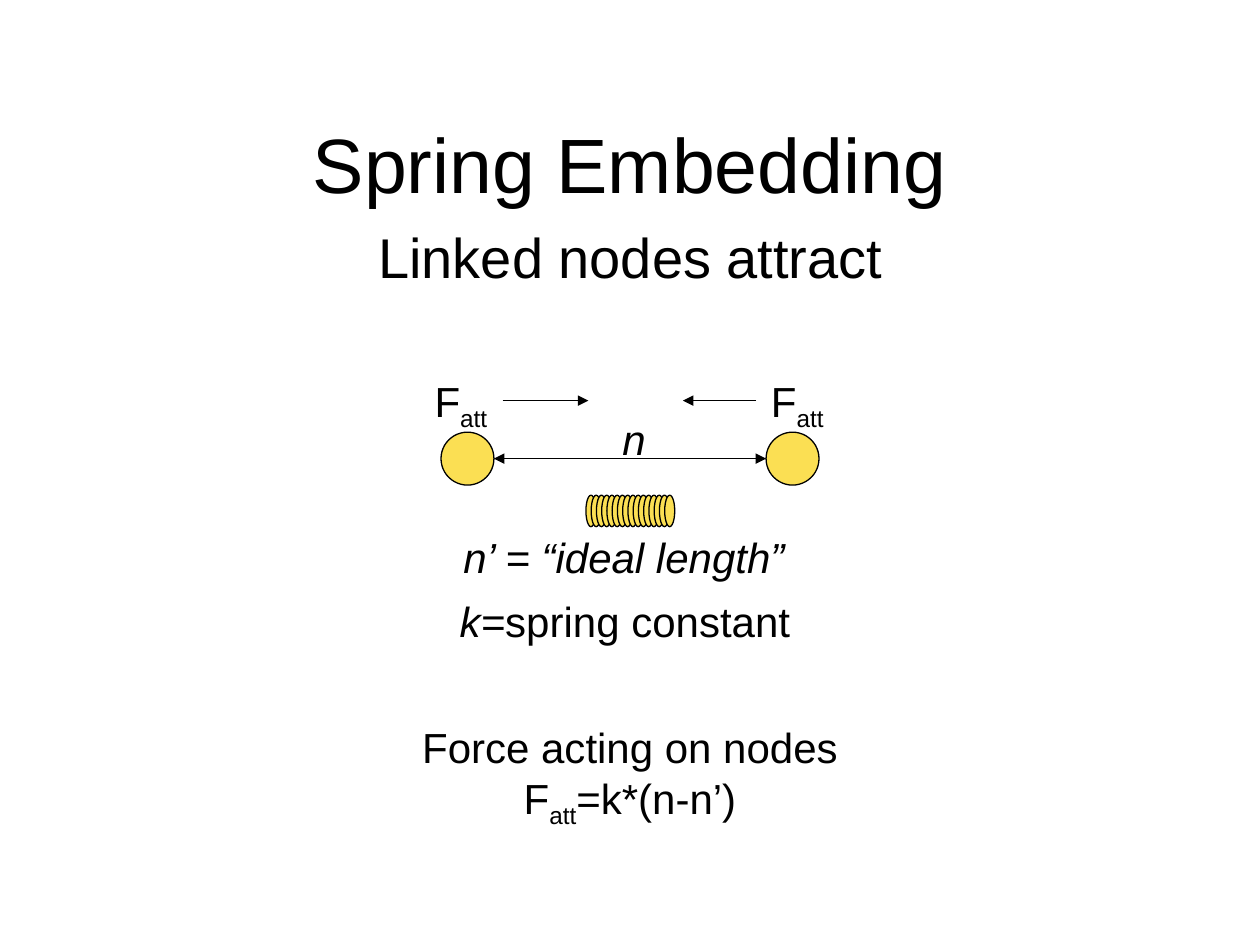
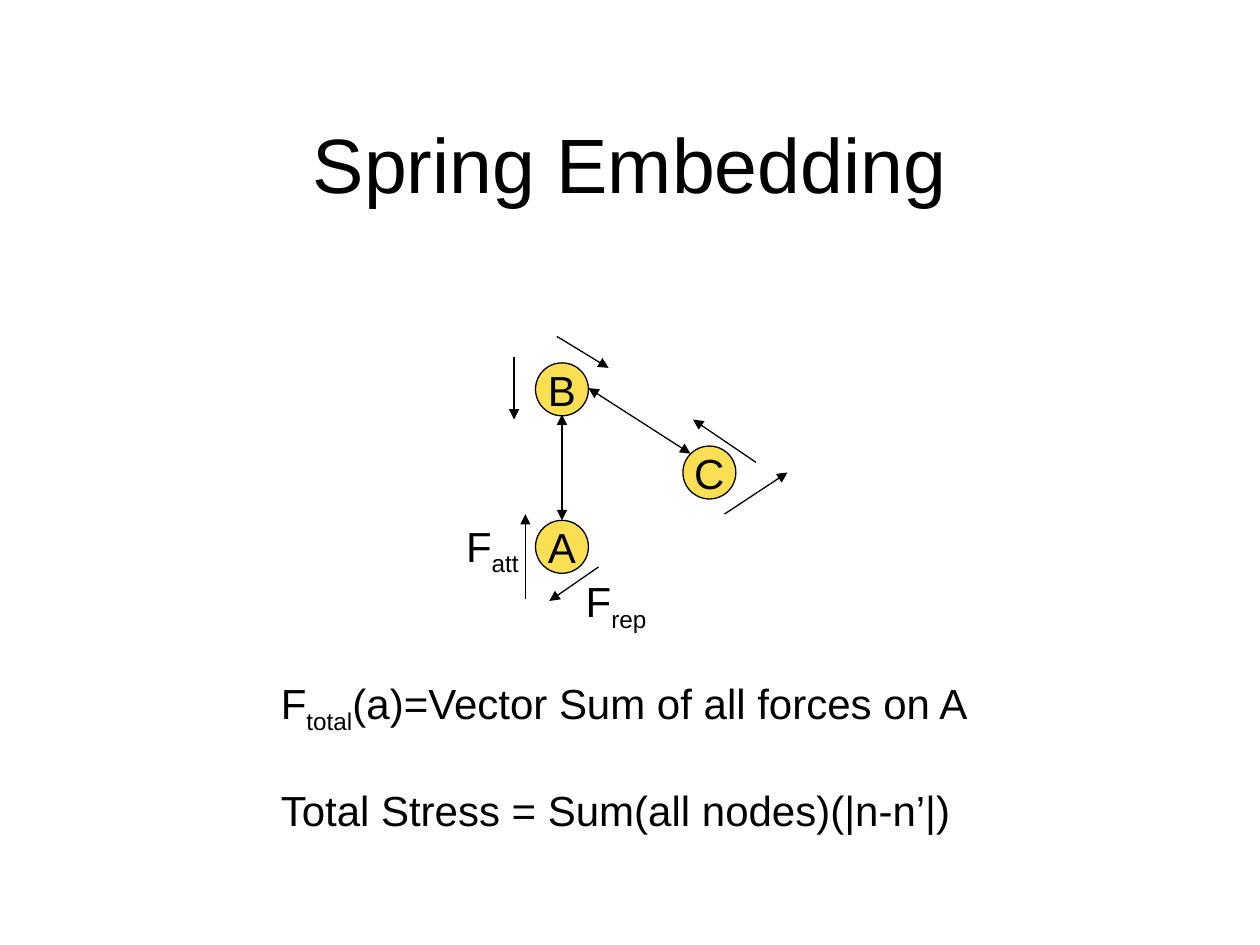
from dataclasses import dataclass

from lxml.etree import SubElement
from pptx import Presentation
from pptx.dml.color import RGBColor
from pptx.enum.shapes import MSO_CONNECTOR, MSO_SHAPE
from pptx.enum.text import MSO_ANCHOR, MSO_AUTO_SIZE, PP_ALIGN
from pptx.oxml.ns import qn
from pptx.util import Inches, Pt

FONT = "Arial"
BLACK = "000000"
GOLD = "FBDF53"
THIN = 0.75
NODE = 0.42


@dataclass
class Run:
    text: str
    slant: bool = False
    sub: bool = False


@dataclass
class Label:
    left: float
    top: float
    width: float
    height: float
    rows: list[list[Run]]
    size: int = 24
    center: bool = False
    wrap: bool = False
    gap: int = 0


@dataclass
class Node:
    left: float
    top: float
    name: str = ""


@dataclass
class Arrow:
    start: tuple[float, float]
    end: tuple[float, float]
    both: bool = False


def color(code: str) -> RGBColor:
    return RGBColor.from_string(code)


def place(shape, left: float, top: float, width: float, height: float) -> None:
    shape.left, shape.top = Inches(left), Inches(top)
    shape.width, shape.height = Inches(width), Inches(height)


def write(para, runs: list[Run], size: int, center: bool) -> None:
    para.alignment = PP_ALIGN.CENTER if center else PP_ALIGN.LEFT
    for part in runs:
        run = para.add_run()
        run.text = part.text
        run.font.name = FONT
        run.font.size = Pt(size)
        run.font.italic = part.slant
        run.font.color.rgb = color(BLACK)
        if part.sub:
            run.font._element.set("baseline", "-25000")


def start(deck):
    slide = deck.slides.add_slide(deck.slide_layouts[5])
    title = slide.shapes.title
    place(title, 0.75, 0.67, 8.5, 1.25)
    frame = title.text_frame
    frame.auto_size = MSO_AUTO_SIZE.NONE
    frame.vertical_anchor = MSO_ANCHOR.MIDDLE
    write(frame.paragraphs[0], [Run("Spring Embedding")], 44, True)
    return slide


def oval(shapes, left: float, top: float, width: float, height: float):
    shape = shapes.add_shape(MSO_SHAPE.OVAL, Inches(left), Inches(top),
                             Inches(width), Inches(height))
    shape.shadow.inherit = False
    shape.fill.solid()
    shape.fill.fore_color.rgb = color(GOLD)
    shape.line.color.rgb = color(BLACK)
    shape.line.width = Pt(THIN)
    return shape


def ball(slide, node: Node) -> None:
    shape = oval(slide.shapes, node.left, node.top, NODE, NODE)
    if node.name:
        frame = shape.text_frame
        frame.word_wrap = False
        frame.vertical_anchor = MSO_ANCHOR.MIDDLE
        write(frame.paragraphs[0], [Run(node.name)], 24, True)


def coil(slide, left: float, top: float, turns: int) -> None:
    group = slide.shapes.add_group_shape()
    for turn in range(turns):
        oval(group.shapes, left + turn / 24, top, 0.08, 0.25)


def link(slide, arrow: Arrow) -> None:
    ends = [Inches(value) for value in arrow.start + arrow.end]
    line = slide.shapes.add_connector(MSO_CONNECTOR.STRAIGHT, *ends)
    line.line.color.rgb = color(BLACK)
    line.line.width = Pt(THIN)
    props = line._element.spPr
    stroke = props.find(qn("a:ln"))
    for tag in ("a:headEnd", "a:tailEnd") if arrow.both else ("a:tailEnd",):
        SubElement(stroke, qn(tag), type="triangle")
    SubElement(props, qn("a:effectLst"))


def note(slide, label: Label) -> None:
    box = slide.shapes.add_textbox(Inches(label.left), Inches(label.top),
                                   Inches(label.width), Inches(label.height))
    frame = box.text_frame
    frame.word_wrap = label.wrap
    frame.auto_size = MSO_AUTO_SIZE.SHAPE_TO_FIT_TEXT
    for index, runs in enumerate(label.rows):
        para = frame.add_paragraph() if index else frame.paragraphs[0]
        if index and label.gap:
            para.space_before = Pt(label.gap)
        write(para, runs, label.size, label.center)


def draw(slide, nodes: list[Node], arrows: list[Arrow], labels: list[Label]) -> None:
    for node in nodes:
        ball(slide, node)
    for arrow in arrows:
        link(slide, arrow)
    for label in labels:
        note(slide, label)


def force(kind: str) -> list[Run]:
    return [Run("F"), Run(kind, sub=True)]


def attract(deck) -> None:
    slide = start(deck)
    coil(slide, 4.65, 3.93, 16)
    nodes = [Node(6.08, 3.43), Node(3.5, 3.43)]
    arrows = [
        Arrow((3.92, 3.64), (6.08, 3.64), both=True),
        Arrow((3.99, 3.18), (4.67, 3.18)),
        Arrow((6, 3.18), (5.42, 3.18)),
    ]
    labels = [
        Label(2.9, 1.72, 4.21, 0.64, [[Run("Linked nodes attract")]],
              size=32, center=True),
        Label(4.84, 3.23, 0.38, 0.5, [[Run("n", slant=True)]]),
        Label(3.58, 4.17, 2.87, 0.5,
              [[Run("n’ = “ideal length”", slant=True)]], wrap=True),
        Label(3.55, 4.68, 2.89, 0.5,
              [[Run("k=", slant=True), Run("spring constant")]], wrap=True),
        Label(3.25, 5.68, 3.5, 0.96,
              [[Run("Force acting on nodes")],
               force("att") + [Run("=k*(n-n’)")]], center=True),
    ]
    labels += [Label(left, 2.93, 0.62, 0.56, [force("att")])
               for left in (3.35, 6.02)]
    draw(slide, nodes, arrows, labels)


def total(deck) -> None:
    slide = start(deck)
    nodes = [Node(4.25, 4.13, "A"), Node(5.42, 3.54, "C"), Node(4.25, 2.88, "B")]
    arrows = [
        Arrow((4.46, 3.29), (4.46, 4.13), both=True),
        Arrow((4.67, 3.08), (5.48, 3.6), both=True),
        Arrow((4.75, 4.5), (4.36, 4.77)),
        Arrow((4.17, 4.75), (4.17, 4.08)),
        Arrow((4.08, 2.83), (4.08, 3.33)),
        Arrow((4.42, 2.67), (4.83, 2.92)),
        Arrow((6, 3.67), (5.5, 3.33)),
        Arrow((5.75, 4.08), (6.25, 3.75)),
    ]
    labels = [
        Label(4.55, 4.52, 0.68, 0.56, [force("rep")]),
        Label(3.6, 4.08, 0.62, 0.56, [force("att")]),
        Label(2.13, 5.33, 5.69, 1.36,
              [force("total") + [Run("(a)=Vector Sum of all forces on A")],
               [Run("Total Stress = Sum(all nodes)(|n-n’|)")]], gap=28),
    ]
    draw(slide, nodes, arrows, labels)


def main() -> None:
    deck = Presentation()
    deck.slide_width, deck.slide_height = Inches(10), Inches(7.5)
    attract(deck)
    total(deck)
    deck.save("out.pptx")


if __name__ == "__main__":
    main()
